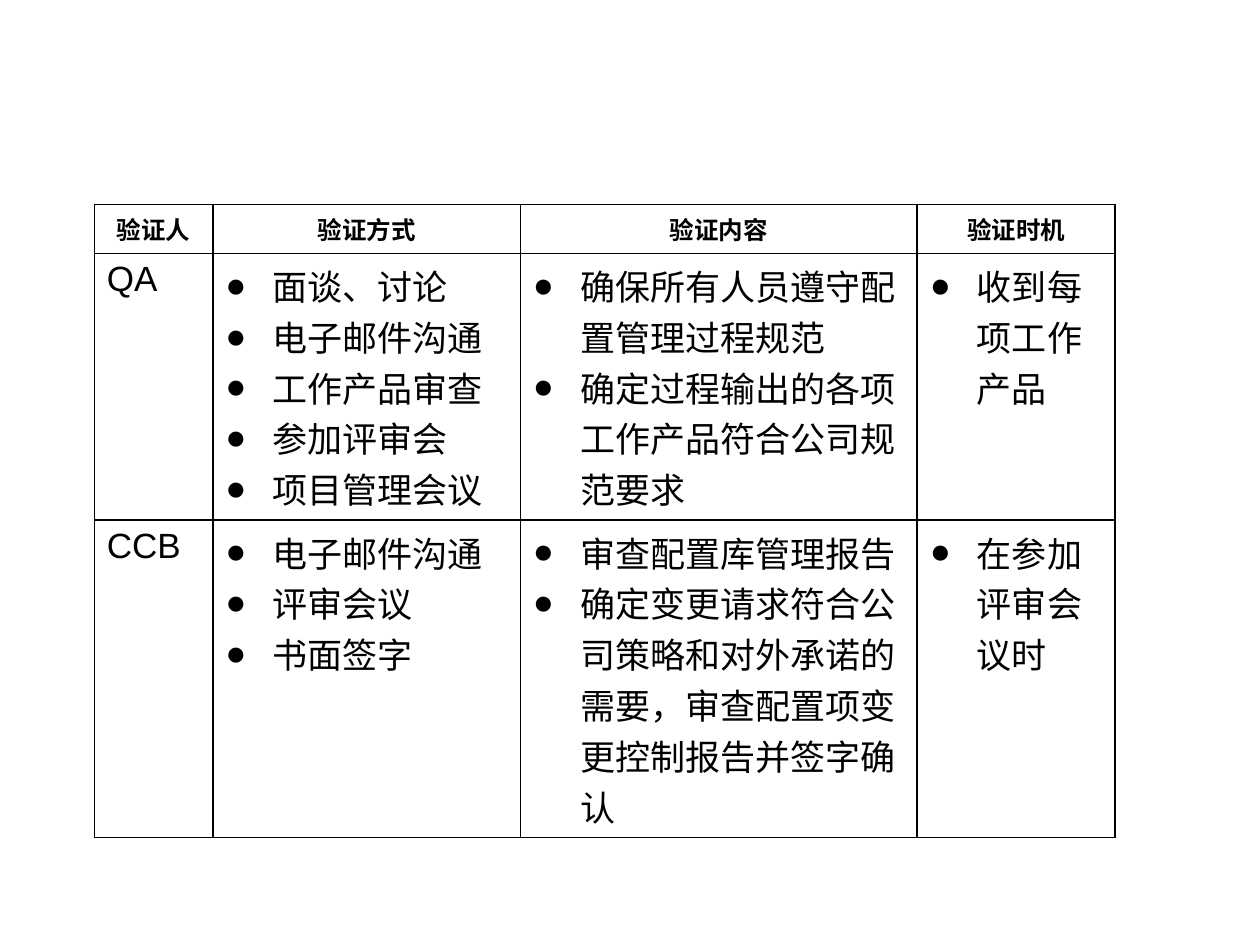
from lxml.etree import SubElement
from pptx import Presentation
from pptx.dml.color import RGBColor
from pptx.enum.text import PP_ALIGN
from pptx.oxml.ns import qn
from pptx.util import Cm, Pt

FONT = "Arial"
BLACK = "000000"
INDENT = Cm(0.95)
TAB = Cm(0.74)
COL_WIDTHS = [2.39, 6.2, 8, 3.99]
ROW_HEIGHTS = [0.99, 5.37, 6.4]

HEADERS = ["验证人", "验证方式", "验证内容", "验证时机"]
VERIFIERS = [
    ("QA",
     ["面谈、讨论", "电子邮件沟通", "工作产品审查", "参加评审会", "项目管理会议"],
     ["确保所有人员遵守配置管理过程规范",
      "确定过程输出的各项工作产品符合公司规范要求"],
     ["收到每项工作产品"]),
    ("CCB",
     ["电子邮件沟通", "评审会议", "书面签字"],
     ["审查配置库管理报告",
      "确定变更请求符合公司策略和对外承诺的需要，审查配置项变更控制报告并签字确认"],
     ["在参加评审会议时"]),
]


def rgb(color):
    return RGBColor.from_string(color)


def set_borders(cell, color=BLACK, width=Pt(1)):
    tcPr = cell._tc.get_or_add_tcPr()
    for side in ("lnL", "lnR", "lnT", "lnB"):
        ln = SubElement(tcPr, qn(f"a:{side}"), w=str(width))
        fill = SubElement(ln, qn("a:solidFill"))
        SubElement(fill, qn("a:srgbClr"), val=color)


def set_indent(p, bullet=False):
    """Give the paragraph a hanging indent and, if asked, a round bullet."""
    pPr = p._p.get_or_add_pPr()
    pPr.set("marL", str(INDENT))
    pPr.set("indent", str(-INDENT))
    if bullet:
        SubElement(pPr, qn("a:buFont"), typeface=FONT)
        SubElement(pPr, qn("a:buChar"), char="●")
        tabs = SubElement(pPr, qn("a:tabLst"))
        SubElement(tabs, qn("a:tab"), pos=str(TAB), algn="l")
    else:
        SubElement(pPr, qn("a:buNone"))


def fill_cell(cell, content, header=False):
    """Write a string as plain text, or a list as bullets."""
    set_borders(cell)
    cell.fill.background()
    bullet = isinstance(content, list)
    tf = cell.text_frame
    tf.text = "\n".join(content) if bullet else content
    for p in tf.paragraphs:
        p.alignment = PP_ALIGN.CENTER if header else PP_ALIGN.LEFT
        set_indent(p, bullet)
        for r in p.runs:
            r.font.name = FONT
            r.font.size = Pt(14 if header else 20)
            r.font.bold = header
            r.font.color.rgb = rgb(BLACK)


def add_verification_table(s, left, top):
    rows = [HEADERS, *VERIFIERS]
    table = s.shapes.add_table(len(rows), len(HEADERS), left, top,
                               Cm(sum(COL_WIDTHS)), Cm(sum(ROW_HEIGHTS))).table
    table.first_row = table.horz_banding = False
    for column, width in zip(table.columns, COL_WIDTHS):
        column.width = Cm(width)
    for i, (row, height) in enumerate(zip(table.rows, ROW_HEIGHTS)):
        row.height = Cm(height)
        for cell, content in zip(row.cells, rows[i]):
            fill_cell(cell, content, header=i == 0)


def main():
    prs = Presentation()
    prs.slide_width, prs.slide_height = Cm(25.4), Cm(19.05)
    s = prs.slides.add_slide(prs.slide_layouts[6])
    add_verification_table(s, Cm(1.9), Cm(4.12))
    prs.save("out.pptx")


if __name__ == "__main__":
    main()
